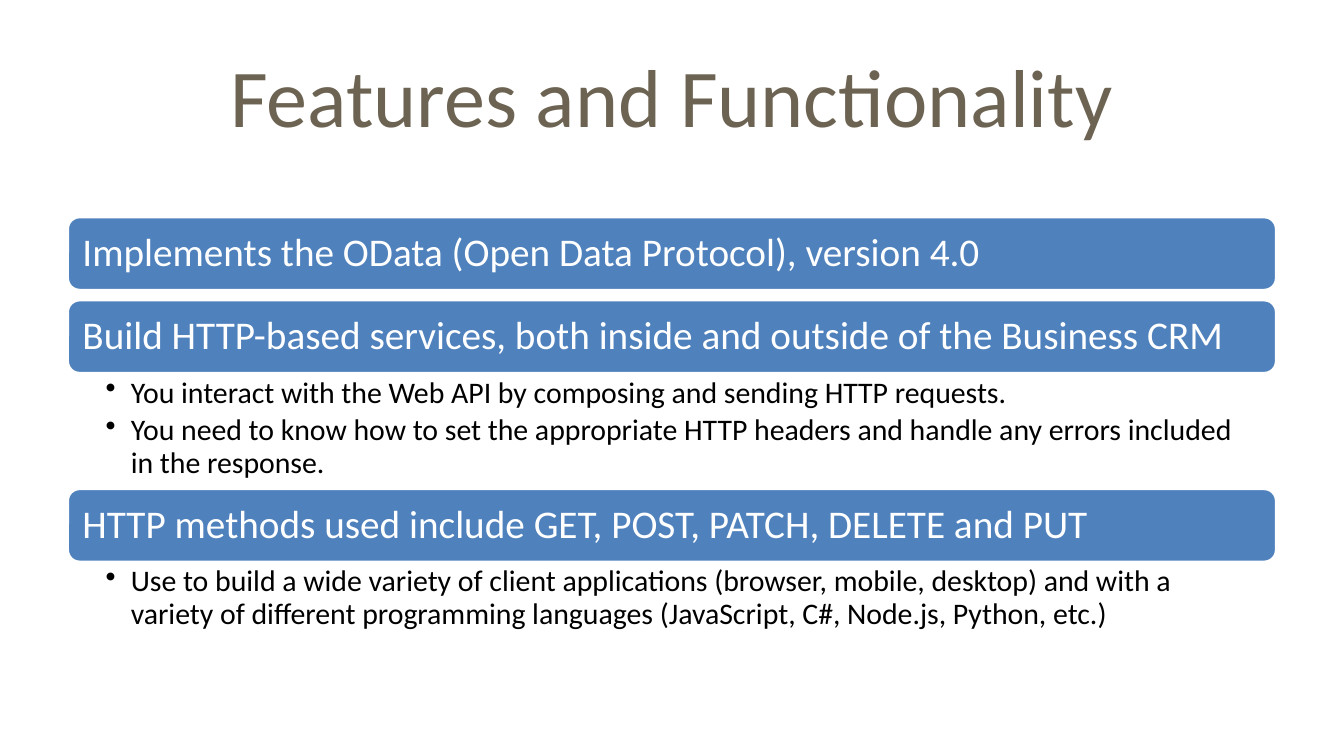
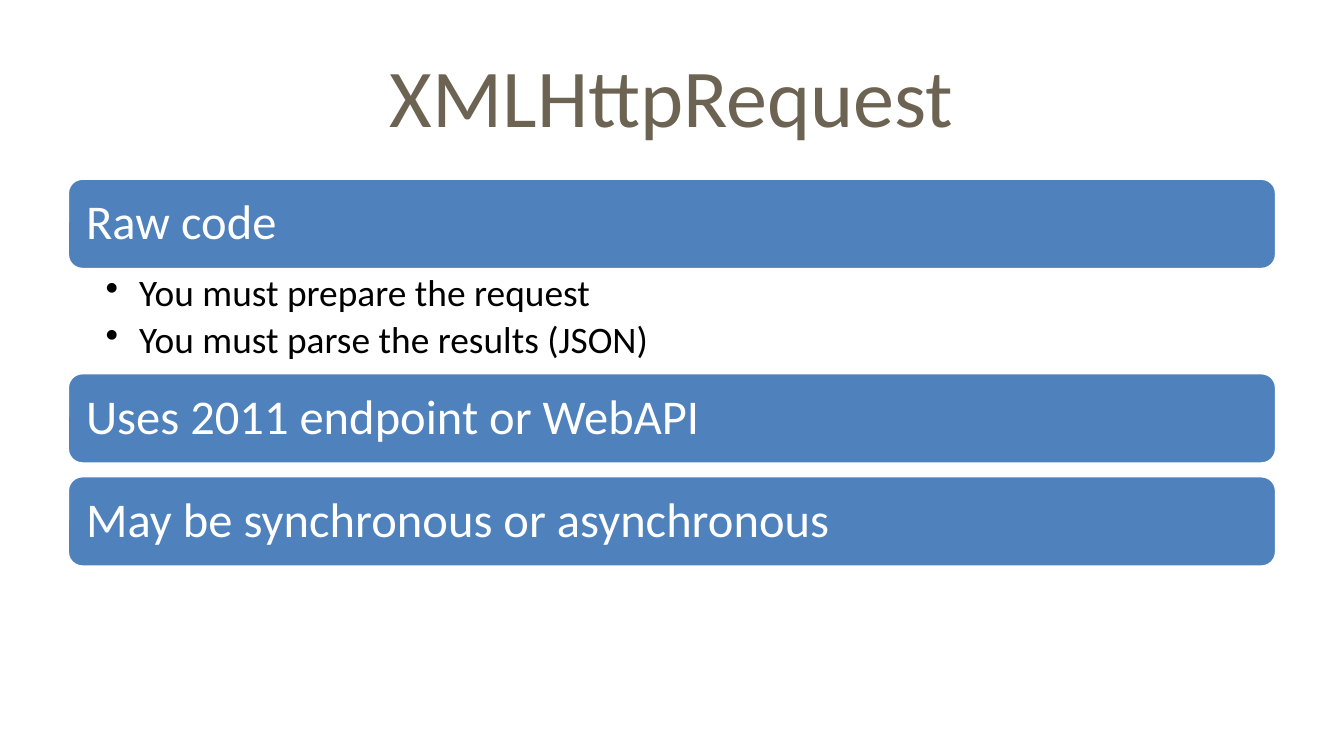
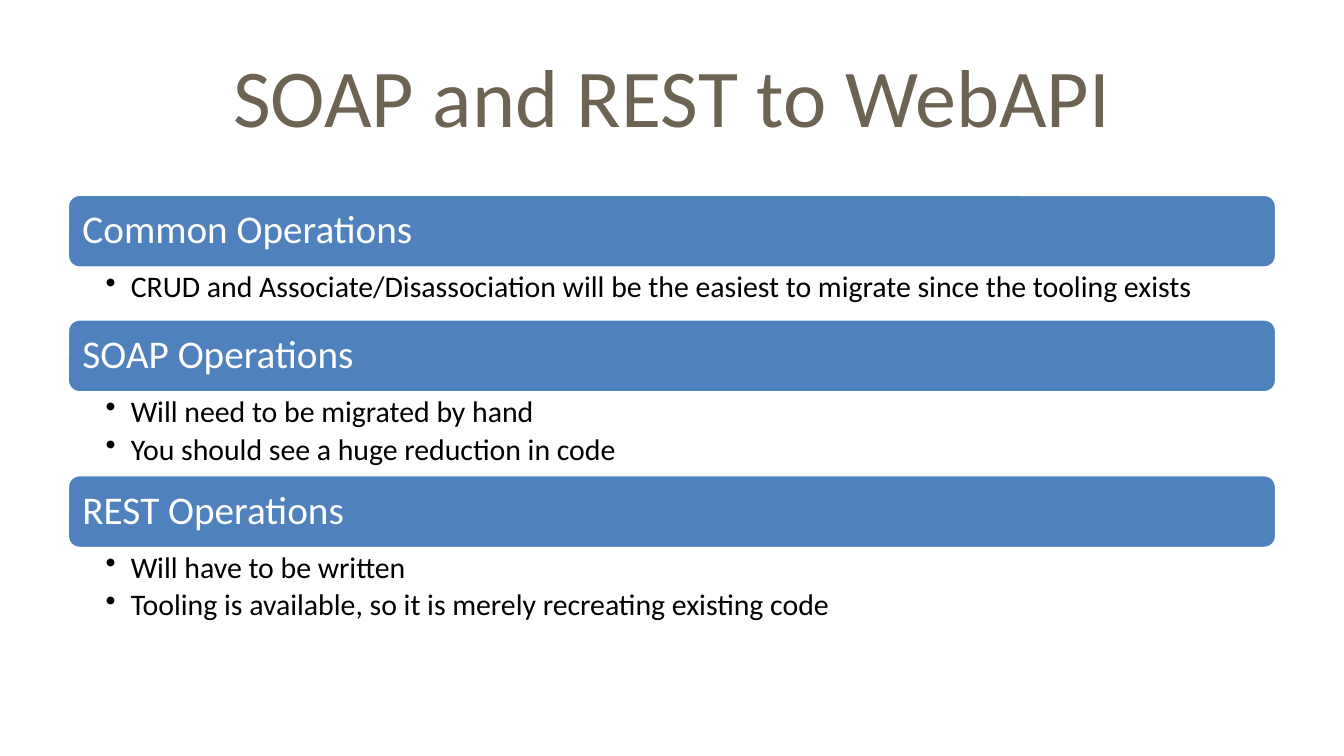
from dataclasses import dataclass

import pptx
import pptx.dml.color
import pptx.enum.shapes
import pptx.enum.text
import pptx.oxml.ns
import pptx.presentation
import pptx.slide
import pptx.text.text
import pptx.util
from lxml import etree

Pt = pptx.util.Pt
RGBColor = pptx.dml.color.RGBColor

TITLE_COLOR = RGBColor(0x6C, 0x63, 0x52)
BAR_COLOR = RGBColor(0x4F, 0x81, 0xBD)
WHITE = RGBColor(0xFF, 0xFF, 0xFF)
BLACK = RGBColor(0x00, 0x00, 0x00)
FONT_NAME = "Calibri"

SLIDE_WIDTH, SLIDE_HEIGHT = 720, 405
MARGIN = 36
CONTENT_WIDTH = SLIDE_WIDTH - 2 * MARGIN
TITLE_TOP, TITLE_HEIGHT, TITLE_SIZE = 16.9, 67.5, 44
LINE_SPACING = 0.9


@dataclass(frozen=True)
class ListStyle:
    """Sizes of one headline-and-bullets list, in points."""
    bar_height: float
    bar_gap: float
    bar_size: float
    bar_inset: float
    bullet_size: float
    bullet_indent: float
    bullet_inset_right: float
    bullet_inset_top: float


@dataclass(frozen=True)
class Section:
    headline: str
    bullets: tuple[str, ...] = ()
    bullets_height: float = 0


@dataclass(frozen=True)
class ListSlide:
    title: str
    top: float
    style: ListStyle
    sections: tuple[Section, ...]


COMPACT = ListStyle(39.7, 4.8, 21, 6.3, 16, 13.5, 11.4, 2)
LARGE = ListStyle(49.1, 6.1, 26, 7.8, 20, 18, 14.2, 2.6)

LIST_SLIDES = (
    ListSlide("Features and Functionality", 116, COMPACT, (
        Section("Implements the OData (Open Data Protocol), version 4.0"),
        Section("Build HTTP-based services, both inside and outside of the Business CRM", (
            "You interact with the Web API by composing and sending HTTP requests.",
            "You need to know how to set the appropriate HTTP headers and handle "
            "any errors included in the response.",
        ), 61.4),
        Section("HTTP methods used include GET, POST, PATCH, DELETE and PUT", (
            "Use to build a wide variety of client applications (browser, mobile, "
            "desktop) and with a variety of different programming languages "
            "(JavaScript, C#, Node.js, Python, etc.)",
        ), 39.7),
    )),
    ListSlide("XMLHttpRequest", 95.4, LARGE, (
        Section("Raw code", (
            "You must prepare the request",
            "You must parse the results (JSON)",
        ), 55.1),
        Section("Uses 2011 endpoint or WebAPI"),
        Section("May be synchronous or asynchronous"),
    )),
    ListSlide("SOAP and REST to WebAPI", 104, COMPACT, (
        Section("Common Operations", (
            "CRUD and Associate/Disassociation will be the easiest to migrate "
            "since the tooling exists",
        ), 27.1),
        Section("SOAP Operations", (
            "Will need to be migrated by hand",
            "You should see a huge reduction in code",
        ), 43.7),
        Section("REST Operations", (
            "Will have to be written",
            "Tooling is available, so it is merely recreating existing code",
        ), 43.7),
    )),
)


def set_insets(text_frame: pptx.text.text.TextFrame, left: float, top: float,
               right: float, bottom: float) -> None:
    text_frame.margin_left, text_frame.margin_top = Pt(left), Pt(top)
    text_frame.margin_right, text_frame.margin_bottom = Pt(right), Pt(bottom)


def format_runs(paragraph: pptx.text.text._Paragraph, size: float,
                color: RGBColor) -> None:
    for run in paragraph.runs:
        run.font.name = FONT_NAME
        run.font.size = Pt(size)
        run.font.color.rgb = color


def add_bullet(paragraph: pptx.text.text._Paragraph, indent: float) -> None:
    properties = paragraph._p.get_or_add_pPr()
    properties.set("marL", str(Pt(indent)))
    properties.set("indent", str(-Pt(indent)))
    bullet = etree.SubElement(properties, pptx.oxml.ns.qn("a:buChar"))
    bullet.set("char", "•")


def add_title(slide: pptx.slide.Slide, title: str) -> None:
    shape = slide.shapes.add_textbox(
        Pt(MARGIN), Pt(TITLE_TOP), Pt(CONTENT_WIDTH), Pt(TITLE_HEIGHT))
    text_frame = shape.text_frame
    text_frame.word_wrap = True
    text_frame.vertical_anchor = pptx.enum.text.MSO_ANCHOR.MIDDLE
    text_frame.text = title
    paragraph = text_frame.paragraphs[0]
    paragraph.alignment = pptx.enum.text.PP_ALIGN.CENTER
    format_runs(paragraph, TITLE_SIZE, TITLE_COLOR)


def add_bar(slide: pptx.slide.Slide, headline: str, top: float,
            style: ListStyle) -> None:
    shape = slide.shapes.add_shape(
        pptx.enum.shapes.MSO_SHAPE.ROUNDED_RECTANGLE,
        Pt(MARGIN), Pt(top), Pt(CONTENT_WIDTH), Pt(style.bar_height))
    shape.shadow.inherit = False
    shape.fill.solid()
    shape.fill.fore_color.rgb = BAR_COLOR
    shape.line.color.rgb = WHITE
    shape.line.width = Pt(2)
    text_frame = shape.text_frame
    text_frame.word_wrap = True
    text_frame.vertical_anchor = pptx.enum.text.MSO_ANCHOR.MIDDLE
    set_insets(text_frame, *[style.bar_inset] * 4)
    text_frame.text = headline
    paragraph = text_frame.paragraphs[0]
    paragraph.alignment = pptx.enum.text.PP_ALIGN.LEFT
    paragraph.line_spacing = LINE_SPACING
    format_runs(paragraph, style.bar_size, WHITE)


def add_bullets(slide: pptx.slide.Slide, section: Section, top: float,
                style: ListStyle) -> None:
    shape = slide.shapes.add_textbox(
        Pt(MARGIN), Pt(top), Pt(CONTENT_WIDTH), Pt(section.bullets_height))
    text_frame = shape.text_frame
    text_frame.word_wrap = True
    set_insets(text_frame, 20.6, style.bullet_inset_top,
               style.bullet_inset_right, style.bullet_inset_top)
    text_frame.text = "\n".join(section.bullets)
    for paragraph in text_frame.paragraphs:
        add_bullet(paragraph, style.bullet_indent)
        paragraph.line_spacing = LINE_SPACING
        paragraph.space_after = Pt(0.18 * style.bullet_size)
        format_runs(paragraph, style.bullet_size, BLACK)


def add_list_slide(presentation: pptx.presentation.Presentation,
                   content: ListSlide) -> None:
    slide = presentation.slides.add_slide(presentation.slide_layouts[6])
    add_title(slide, content.title)
    # Bars and bullets stack downwards; a gap follows a bar without bullets
    top = content.top
    for section in content.sections:
        add_bar(slide, section.headline, top, content.style)
        top += content.style.bar_height
        if section.bullets:
            add_bullets(slide, section, top, content.style)
            top += section.bullets_height
        else:
            top += content.style.bar_gap


def main() -> None:
    presentation = pptx.Presentation()
    presentation.slide_width = Pt(SLIDE_WIDTH)
    presentation.slide_height = Pt(SLIDE_HEIGHT)
    for content in LIST_SLIDES:
        add_list_slide(presentation, content)
    presentation.save("out.pptx")


if __name__ == "__main__":
    main()
